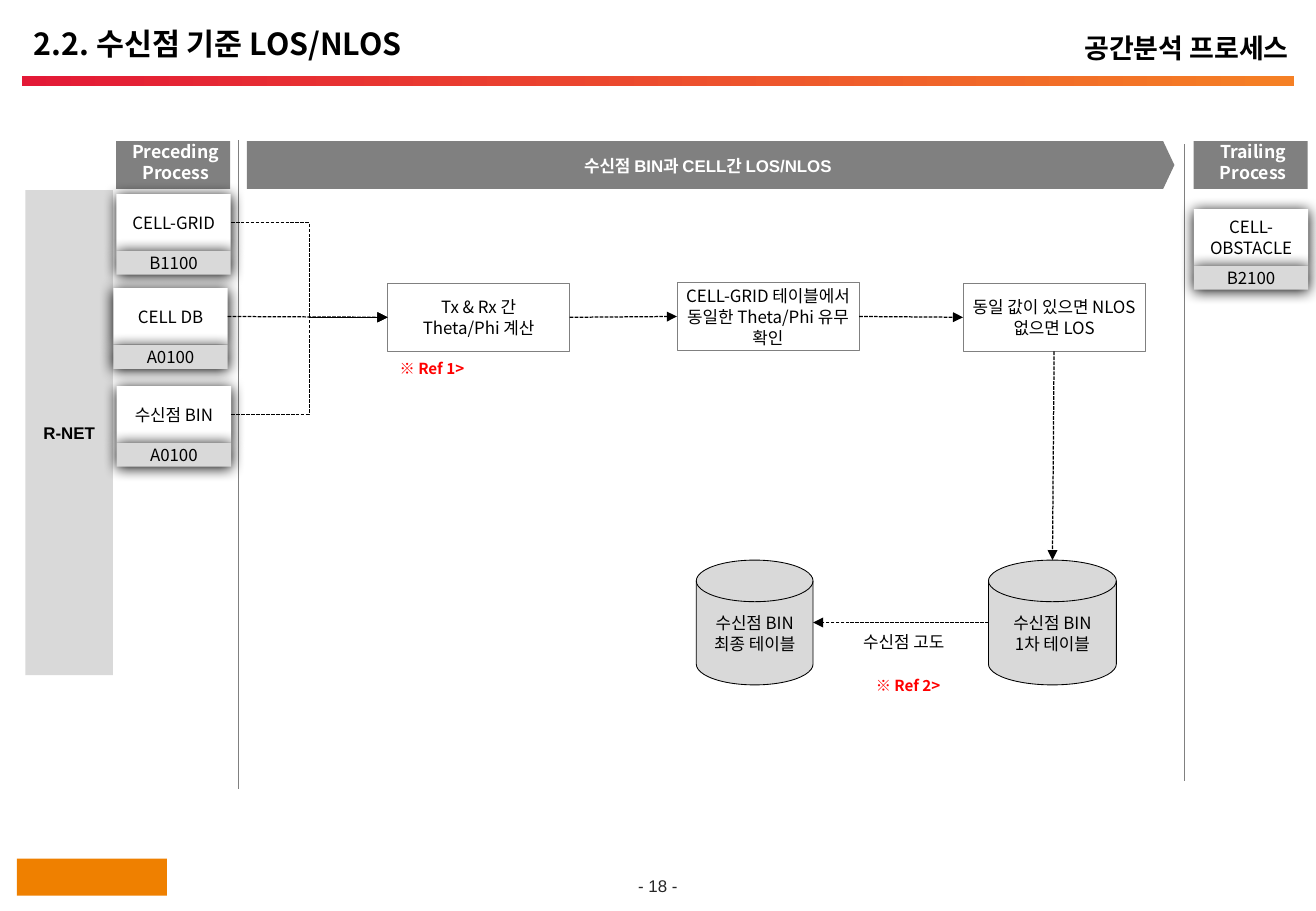
from lxml import etree
from pptx import Presentation
from pptx import util as u
from pptx.dml.color import RGBColor
from pptx.enum import dml, shapes, text
from pptx.oxml.ns import qn

Pt = u.Pt
KIND = shapes.MSO_SHAPE
ALIGN = text.PP_ALIGN
ANCHOR = text.MSO_ANCHOR
TOP, LEFT, BOTTOM, RIGHT = range(4)  # connection sites of a rectangle


def colour(value):
    return RGBColor.from_string(value)


def write(shape, words, size=10, font="Noto Sans CJK KR", ink="000000", bold=False,
          align=ALIGN.CENTER, anchor=ANCHOR.MIDDLE, insets=(0, 0, 0, 0),
          leading=None, wrap=True):
    """Fill a shape with text, one paragraph for each line of words."""
    frame = shape.text_frame
    frame.auto_size = text.MSO_AUTO_SIZE.NONE
    frame.word_wrap = wrap
    frame.vertical_anchor = anchor
    (frame.margin_left, frame.margin_top,
     frame.margin_right, frame.margin_bottom) = [Pt(inset) for inset in insets]
    for index, line in enumerate(words.split("\n")):
        para = frame.add_paragraph() if index else frame.paragraphs[0]
        para.alignment = align
        if leading:
            para.line_spacing = Pt(leading)
        span = para.add_run()
        span.text = line
        span.font.size = Pt(size)
        span.font.bold = bold
        span.font.name = font
        span.font.color.rgb = colour(ink)
        east = etree.SubElement(span.font._element, qn("a:ea"))
        east.set("typeface", "Noto Sans CJK KR")


class Sheet:
    GREY, PALE, WHITE, BLACK, RED = "808080", "D9D9D9", "FFFFFF", "000000", "FF0000"
    MARGINS = (7.2, 3.6, 7.2, 3.6)
    LEADING = 12.3

    def __init__(self, deck):
        self.page = deck.slides.add_slide(deck.slide_layouts[5])

    def title(self, words, left, top, width, height):
        box = self.page.shapes.title
        box.left, box.top, box.width, box.height = map(Pt, (left, top, width, height))
        write(box, words, size=18, bold=True, align=ALIGN.LEFT, insets=self.MARGINS)

    def label(self, words, left, top, width, height, **style):
        box = self.page.shapes.add_textbox(*map(Pt, (left, top, width, height)))
        write(box, words, **style)

    def box(self, words, left, top, width, height, kind=KIND.RECTANGLE, fill=WHITE,
            line=None, weight=0.25, home=None, **style):
        shape = (home or self.page).shapes.add_shape(
            kind, *map(Pt, (left, top, width, height)))
        shape.shadow.inherit = False
        shape.fill.solid()
        shape.fill.fore_color.rgb = colour(fill)
        if line:
            shape.line.color.rgb = colour(line)
            shape.line.width = Pt(weight)
        else:
            shape.line.fill.background()
        if words:
            write(shape, words, leading=self.LEADING, **style)
        return shape

    def band(self, left, top, width, height, first, last):
        shape = self.box("", left, top, width, height)
        shape.fill.gradient()
        shape.fill.gradient_angle = 0
        for stop, value in zip(shape.fill.gradient_stops, (first, last)):
            stop.color.rgb = colour(value)

    def card(self, name, code, left, top):
        """A process name above its code, both with a soft shadow."""
        group = self.page.shapes.add_group_shape()
        head = self.box(name, left, top, 67.8, 33.6, home=group)
        foot = self.box(code, left, top + 33.6, 67.8, 14.2, fill=self.PALE, home=group)
        for part in (head, foot):
            effects = part._element.spPr.find(qn("a:effectLst"))
            shadow = etree.SubElement(
                effects, qn("a:outerShdw"), blurRad=str(Pt(8.5)), dist=str(Pt(1)),
                dir="5400000", algn="ctr", rotWithShape="0")
            etree.SubElement(shadow, qn("a:srgbClr"), val=self.BLACK)
        return head

    def step(self, words, left, top):
        return self.box(words, left, top, 108, 40.4, line=self.GREY)

    def store(self, words, left, width):
        return self.box(words, left, 332, width, 74, kind=KIND.FLOWCHART_MAGNETIC_DISK,
                        fill=self.PALE, line=self.BLACK, weight=0.5, insets=(3, 0, 3, 0))

    def line(self, start, end, ink=GREY, elbow=False):
        kind = shapes.MSO_CONNECTOR.ELBOW if elbow else shapes.MSO_CONNECTOR.STRAIGHT
        link = self.page.shapes.add_connector(kind, *map(Pt, start + end))
        link.line.color.rgb = colour(ink)
        link.line.width = Pt(0.75)
        etree.SubElement(link._element.spPr, qn("a:effectLst"))
        return link

    def arrow(self, start=(0, 0), end=(0, 0), source=None, target=None, elbow=False):
        """A dashed arrow; source and target are (shape, site) pairs to attach to."""
        link = self.line(start, end, self.BLACK, elbow)
        link.line.dash_style = dml.MSO_LINE.SQUARE_DOT
        etree.SubElement(link.line._get_or_add_ln(), qn("a:tailEnd"), type="triangle")
        if source:
            link.begin_connect(*source)
        if target:
            link.end_connect(*target)


def main():
    deck = Presentation()
    deck.slide_width, deck.slide_height = Pt(780), Pt(540)
    sheet = Sheet(deck)

    # Heading and footer
    sheet.band(13, 45.2, 754, 5.8, "E31936", "F58025")
    sheet.title("2.2. 수신점 기준 LOS/NLOS", 12.8, 8.6, 373, 34)
    sheet.label("공간분석 프로세스", 609, 11.5, 162, 34, size=16, bold=True,
                align=ALIGN.RIGHT, insets=sheet.MARGINS)
    sheet.label("- 18 -", 367.2, 519.2, 45.4, 11.6, font="Arial", ink="262626", wrap=False)
    sheet.box("", 10, 509, 89, 22, fill="EF8000")

    # Column headings and dividers
    process = sheet.box("수신점 BIN과 CELL간 LOS/NLOS", 146.3, 83.7, 549.8, 28.3,
                        kind=KIND.PENTAGON, fill=sheet.GREY, font="Arial",
                        ink=sheet.WHITE, bold=True, insets=(3, 3, 3, 3))
    process.adjustments[0] = 0.235
    sheet.box("R-NET", 15, 112.8, 52, 287.5, fill=sheet.PALE, font="Arial", bold=True,
              insets=(3, 0, 3, 0))
    for words, left in (("Preceding\nProcess", 68.8), ("Trailing\nProcess", 707.5)):
        sheet.box(words, left, 83.7, 67.6, 28.3, fill=sheet.GREY, size=10.5,
                  ink=sheet.WHITE, bold=True, insets=(3, 0, 0, 3))
    sheet.line((141.3, 83), (141.3, 467.7))
    sheet.line((702, 85.5), (702, 463))

    # Process cards
    grid = sheet.card("CELL-GRID", "B1100", 69, 115)
    cell = sheet.card("CELL DB", "A0100", 67.2, 170.8)
    receiver = sheet.card("수신점 BIN", "A0100", 69.2, 228.8)
    sheet.card("CELL-\nOBSTACLE", "B2100", 707.6, 123.9)

    # Steps and tables
    angles = sheet.step("Tx & Rx 간\nTheta/Phi 계산", 229.7, 167.9)
    lookup = sheet.step("CELL-GRID 테이블에서\n동일한 Theta/Phi 유무 확인", 401.2, 167.4)
    verdict = sheet.step("동일 값이 있으면 NLOS\n없으면 LOS", 570.8, 167.9)
    sheet.store("수신점 BIN\n1차 테이블", 585.9, 75.8)
    sheet.store("수신점 BIN\n최종 테이블", 412.7, 69.2)

    # Flow
    for card in (grid, cell, receiver):
        sheet.arrow(source=(card, RIGHT), target=(angles, LEFT), elbow=card is not cell)
    for before, after in ((angles, lookup), (lookup, verdict)):
        sheet.arrow(source=(before, RIGHT), target=(after, LEFT))
    sheet.arrow(end=(623.8, 332), source=(verdict, BOTTOM))
    sheet.arrow((585.9, 369), (481.9, 369))

    # Notes
    sheet.label("수신점 고도", 504.5, 370.8, 68.4, 19.4, align=ALIGN.LEFT,
                insets=sheet.MARGINS, wrap=False)
    for words, left, top in (("※ Ref 1>", 236.9, 213), ("※ Ref 2>", 519.1, 400.6)):
        sheet.label(words, left, top, 42, 10.8, size=9, ink=sheet.RED, bold=True,
                    align=ALIGN.LEFT, wrap=False)

    deck.save("out.pptx")


if __name__ == "__main__":
    main()
